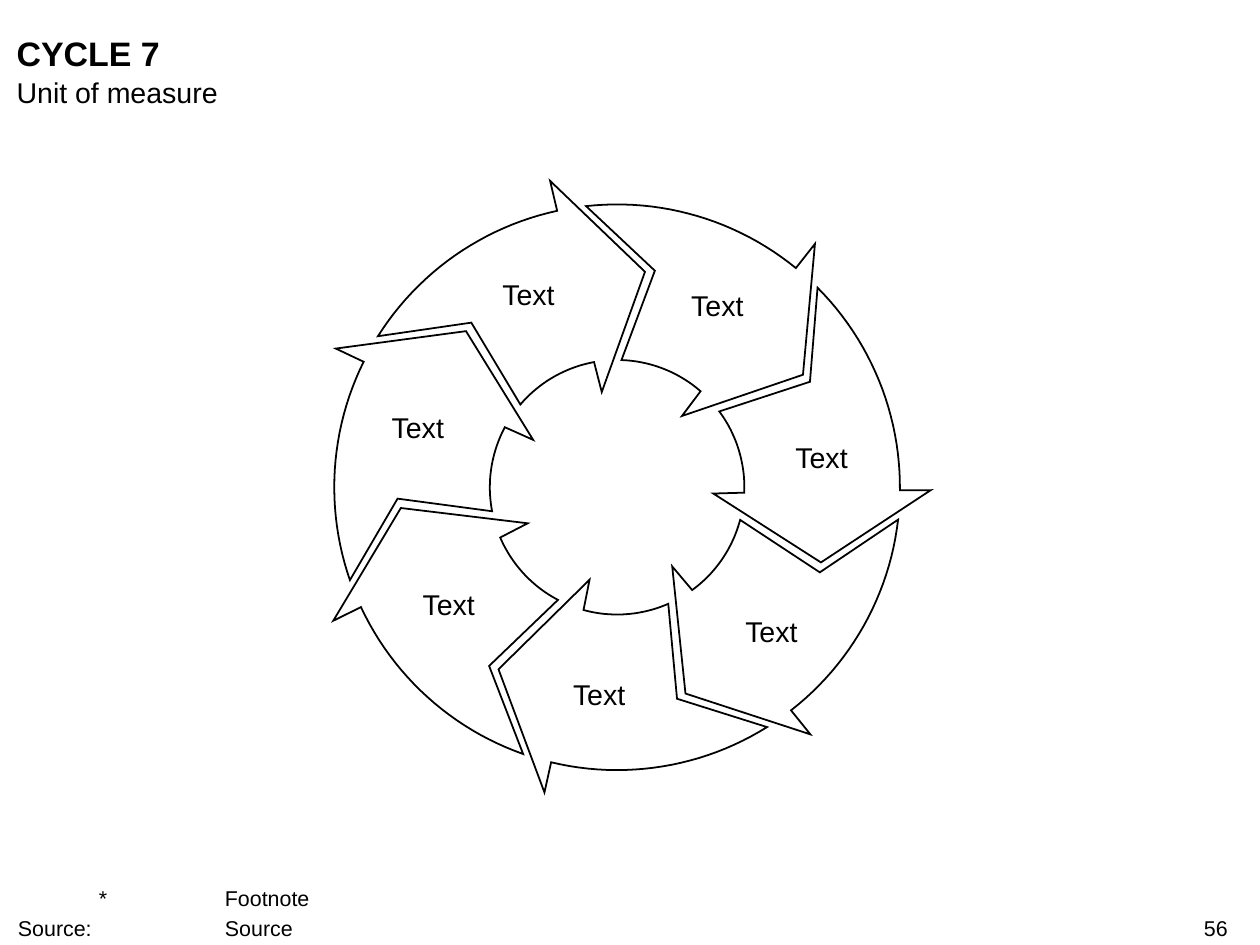
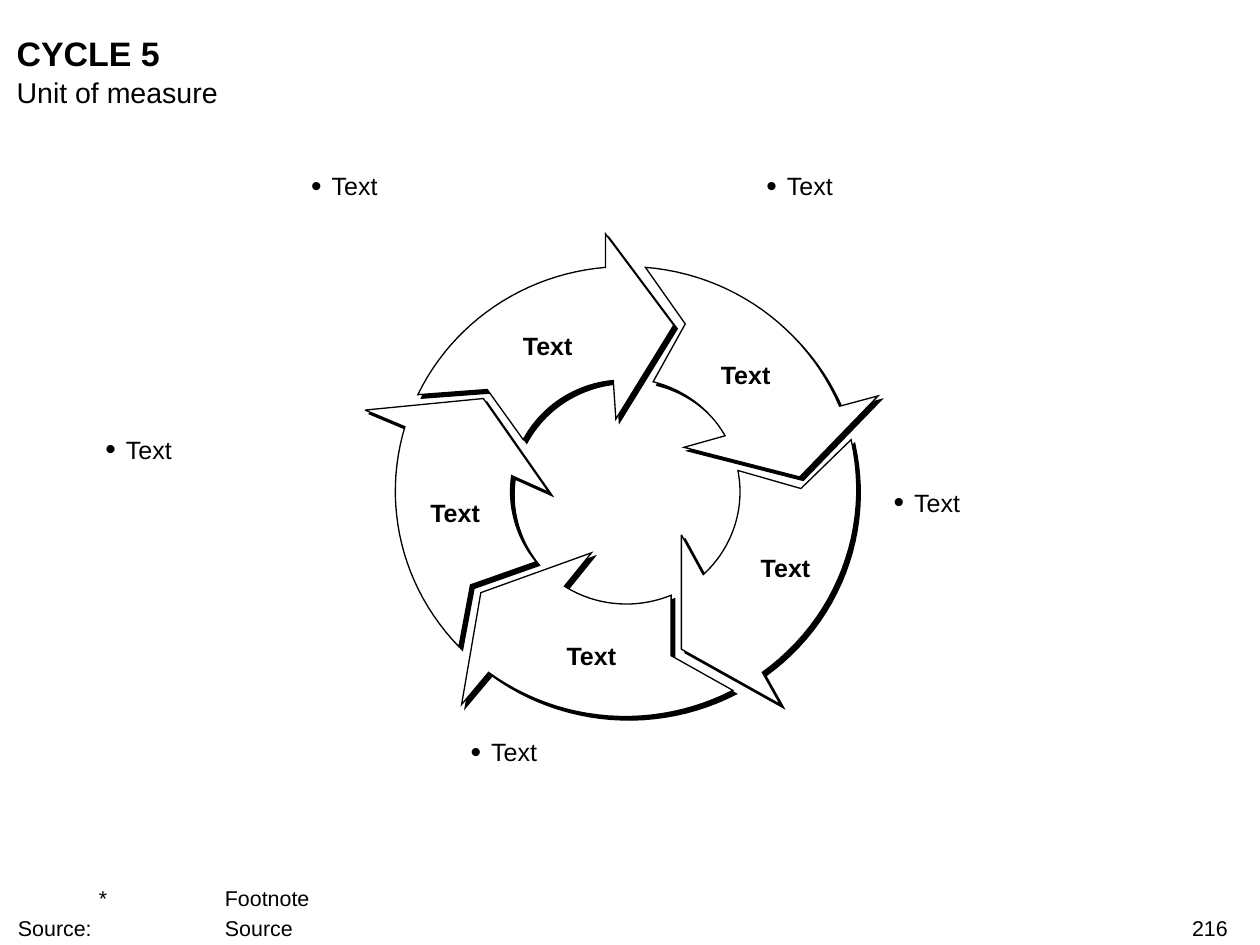
import math
from dataclasses import dataclass
from typing import NamedTuple

from lxml import etree
from pptx import Presentation
from pptx.dml.color import RGBColor
from pptx.enum.text import MSO_ANCHOR, MSO_AUTO_SIZE, PP_ALIGN
from pptx.oxml.ns import qn
from pptx.util import Emu, Pt

LEFT, CENTER, RIGHT = PP_ALIGN.LEFT, PP_ALIGN.CENTER, PP_ALIGN.RIGHT
TOP, MIDDLE, BOTTOM = MSO_ANCHOR.TOP, MSO_ANCHOR.MIDDLE, MSO_ANCHOR.BOTTOM
NO_FIT = MSO_AUTO_SIZE.NONE
EMU_PER_PX = 9144
TITLE_ONLY = 5
ARC_STEPS = 24


@dataclass(frozen=True)
class Theme:
    font: str = "Arial"
    ink: RGBColor = RGBColor(0, 0, 0)
    paper: RGBColor = RGBColor(255, 255, 255)
    title: int = 19
    large: int = 16
    medium: int = 14
    small: int = 12


THEME = Theme()


class Point(NamedTuple):
    x: float
    y: float


class Box(NamedTuple):
    left: int
    top: int
    width: int
    height: int


@dataclass(frozen=True)
class TextStyle:
    size: int
    bold: bool = False
    align: PP_ALIGN = LEFT
    anchor: MSO_ANCHOR = TOP


@dataclass(frozen=True)
class Ring:
    center: Point
    squash: float
    line_width: float
    shadow: bool


class Arrow(NamedTuple):
    outer_start: Point
    outer_end: Point
    outer_barb: Point
    tip: Point
    inner_barb: Point
    inner_end: Point
    inner_start: Point
    tail: Point


class Polar(NamedTuple):
    radius: float
    degrees: float


TITLE_STYLE = TextStyle(THEME.title, bold=True)
SUBTITLE_STYLE = TextStyle(THEME.large)
NUMBER_STYLE = TextStyle(THEME.small, align=RIGHT)
FOOTER_STYLE = TextStyle(THEME.small, anchor=BOTTOM)
BULLET_STYLE = TextStyle(THEME.medium)
SEVEN_LABEL_STYLE = TextStyle(THEME.large, align=CENTER, anchor=MIDDLE)
FIVE_LABEL_STYLE = TextStyle(THEME.medium, bold=True, align=CENTER, anchor=MIDDLE)

SEVEN_RING = Ring(Point(480, 379), 1, 1, False)
SEVEN_CORNERS = (
    Polar(220, -6.3), Polar(220, 39.2), Polar(244, 39.1), Polar(169, 58.8),
    Polar(75, 42.3), Polar(99, 41), Polar(99, 2), Polar(171, 9.9),
)
SEVEN_LABELS = ((325, 332), (411, 228), (558, 237), (639, 355), (600, 490), (349, 469), (466, 539))

FIVE_RING = Ring(Point(486, 382), 0.98, 0.75, True)
FIVE_CORNERS = (
    ((325, 307), (471, 208), (471, 182), (524, 253), (479, 326), (477, 296), (407, 342), (379, 303)),
    ((502, 208), (653, 316), (683, 308), (622, 371), (532, 348), (564, 339), (508, 297), (533, 252)),
    ((662, 342), (593, 523), (607, 548), (530, 505), (530, 416), (547, 447), (574, 366), (623, 380)),
    ((570, 537), (380, 523), (359, 548), (374, 461), (460, 430), (439, 456), (522, 463), (522, 510)),
    ((357, 503), (315, 332), (284, 319), (376, 310), (427, 383), (398, 370), (417, 437), (366, 455)),
)
FIVE_LABELS = ((354, 398), (426, 268), (580, 291), (611, 441), (460, 509))
BULLETS = ((596, 133), (242, 133), (82, 338), (366, 573), (695, 379))


def px(length: float) -> Emu:
    return Emu(round(length * EMU_PER_PX))


def place(shape, box: Box) -> None:
    shape.left, shape.top, shape.width, shape.height = (px(length) for length in box)


def write(shape, lines: tuple[str, ...], style: TextStyle):
    frame = shape.text_frame
    frame.word_wrap = True
    frame.auto_size = NO_FIT
    frame.vertical_anchor = style.anchor
    frame.margin_left = frame.margin_top = frame.margin_right = frame.margin_bottom = 0
    for index, line in enumerate(lines):
        paragraph = frame.add_paragraph() if index else frame.paragraphs[0]
        paragraph.alignment = style.align
        run = paragraph.add_run()
        run.text = line
        run.font.name = THEME.font
        run.font.size = Pt(style.size)
        run.font.bold = style.bold
        run.font.color.rgb = THEME.ink
    return frame.paragraphs


def add_text(shapes, box: Box, lines: tuple[str, ...], style: TextStyle):
    shape = shapes.add_textbox(*(px(length) for length in box))
    return write(shape, lines, style)


def add_child(parent, tag: str, **attributes: str):
    return etree.SubElement(parent, qn(tag), attributes)


def hang(paragraph, indent: int):
    properties = paragraph._p.get_or_add_pPr()
    properties.set("marL", str(px(indent)))
    properties.set("indent", str(px(-indent)))
    return properties


def add_bullet(shapes, left: int, top: int) -> None:
    paragraph = add_text(shapes, Box(left, top, 198, 23), ("Text",), BULLET_STYLE)[0]
    paragraph.level = 1
    properties = hang(paragraph, 16)
    add_child(properties, "a:buSzPct", val="120000")
    add_child(properties, "a:buFont", typeface=THEME.font)
    add_child(properties, "a:buChar", char="•")


def add_footer(shapes) -> None:
    lines = ("\t*\tFootnote", "Source:\t\tSource")
    paragraphs = add_text(shapes, Box(14, 688, 893, 44), lines, FOOTER_STYLE)
    for paragraph in paragraphs:
        properties = hang(paragraph, 63)
        properties.set("defTabSz", str(px(98)))
        tabs = add_child(properties, "a:tabLst")
        add_child(tabs, "a:tab", pos=str(px(58)), algn="r")
    paragraphs[1].space_before = Pt(2.4)


def add_slide(presentation, title: str, number: str):
    slide = presentation.slides.add_slide(presentation.slide_layouts[TITLE_ONLY])
    place(slide.shapes.title, Box(13, 25, 943, 32))
    write(slide.shapes.title, (title,), TITLE_STYLE)
    add_text(slide.shapes, Box(13, 58, 943, 27), ("Unit of measure",), SUBTITLE_STYLE)
    add_text(slide.shapes, Box(751, 712, 204, 20), (number,), NUMBER_STYLE)
    add_footer(slide.shapes)
    return slide


def from_polar(ring: Ring, radius: float, angle: float) -> Point:
    return Point(
        ring.center.x + radius * math.sin(angle),
        ring.center.y - radius * math.cos(angle) * ring.squash,
    )


def to_polar(ring: Ring, point: Point) -> tuple[float, float]:
    across = point.x - ring.center.x
    up = (ring.center.y - point.y) / ring.squash
    return math.hypot(across, up), math.atan2(across, up)


def clockwise_arc(ring: Ring, start: Point, end: Point) -> list[Point]:
    start_radius, start_angle = to_polar(ring, start)
    end_radius, end_angle = to_polar(ring, end)
    sweep = (end_angle - start_angle) % math.tau
    shares = [step / ARC_STEPS for step in range(ARC_STEPS + 1)]
    return [
        from_polar(ring, start_radius + (end_radius - start_radius) * share, start_angle + sweep * share)
        for share in shares
    ]


def add_arrow(shapes, ring: Ring, arrow: Arrow) -> None:
    outline = [
        *clockwise_arc(ring, arrow.outer_start, arrow.outer_end),
        arrow.outer_barb, arrow.tip, arrow.inner_barb,
        *reversed(clockwise_arc(ring, arrow.inner_start, arrow.inner_end)),
        arrow.tail,
    ]
    corners = [(px(point.x), px(point.y)) for point in outline]
    builder = shapes.build_freeform(*corners[0])
    builder.add_line_segments(corners[1:], close=True)
    shape = builder.convert_to_shape()
    shape.fill.solid()
    shape.fill.fore_color.rgb = THEME.paper
    shape.line.color.rgb = THEME.ink
    shape.line.width = Pt(ring.line_width)
    shape.shadow.inherit = False
    properties = shape._element.spPr
    add_child(properties.find(qn("a:ln")), "a:miter", lim="800000")
    if ring.shadow:
        effects = properties.find(qn("a:effectLst"))
        shadow = add_child(
            effects, "a:outerShdw", blurRad="0", dist=str(Pt(2.8)),
            dir="2700000", algn="ctr", rotWithShape="0",
        )
        add_child(shadow, "a:srgbClr", val=str(THEME.ink))


def add_label(shapes, center: tuple[int, int], width: int, height: int, style: TextStyle) -> None:
    x, y = center
    add_text(shapes, Box(x - width // 2, y - height // 2, width, height), ("Text",), style)


def rotated_arrow(ring: Ring, turn: float) -> Arrow:
    return Arrow(*(
        from_polar(ring, corner.radius, math.radians(corner.degrees + turn))
        for corner in SEVEN_CORNERS
    ))


def build_cycle_seven(presentation) -> None:
    slide = add_slide(presentation, "CYCLE 7", "56")
    group = slide.shapes.add_group_shape()
    count = len(SEVEN_LABELS)
    for index in range(count):
        add_arrow(group.shapes, SEVEN_RING, rotated_arrow(SEVEN_RING, 360 * index / count))
    for center in SEVEN_LABELS:
        add_label(slide.shapes, center, 94, 27, SEVEN_LABEL_STYLE)


def build_cycle_five(presentation) -> None:
    slide = add_slide(presentation, "CYCLE 5", "216")
    group = slide.shapes.add_group_shape()
    for corners in FIVE_CORNERS:
        add_arrow(group.shapes, FIVE_RING, Arrow(*(Point(*corner) for corner in corners)))
    for center in FIVE_LABELS:
        add_label(group.shapes, center, 74, 23, FIVE_LABEL_STYLE)
    for left, top in BULLETS:
        add_bullet(slide.shapes, left, top)


def main() -> None:
    presentation = Presentation()
    presentation.slide_width = px(980)
    presentation.slide_height = px(735)
    build_cycle_seven(presentation)
    build_cycle_five(presentation)
    presentation.save("out.pptx")


if __name__ == "__main__":
    main()
